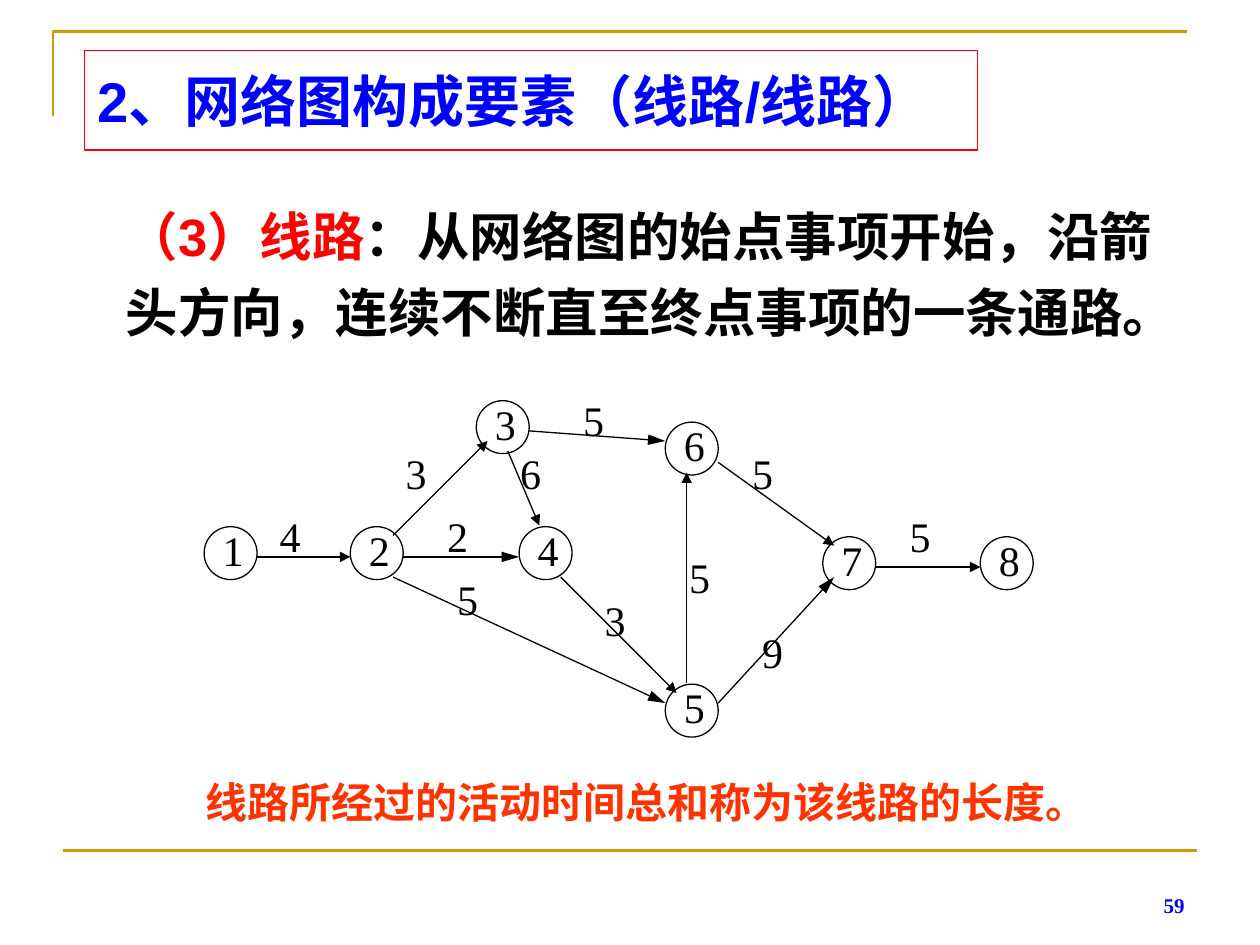
from lxml import etree
from pptx import Presentation
from pptx.dml.color import RGBColor
from pptx.enum.shapes import MSO_CONNECTOR, MSO_SHAPE
from pptx.enum.text import MSO_ANCHOR, MSO_AUTO_SIZE, PP_ALIGN
from pptx.oxml.ns import qn
from pptx.util import Inches, Pt

OVAL = MSO_SHAPE.OVAL
STRAIGHT = MSO_CONNECTOR.STRAIGHT
TOP, MIDDLE, BOTTOM = MSO_ANCHOR.TOP, MSO_ANCHOR.MIDDLE, MSO_ANCHOR.BOTTOM
LEFT, CENTER, RIGHT = PP_ALIGN.LEFT, PP_ALIGN.CENTER, PP_ALIGN.RIGHT
NO_AUTOFIT = MSO_AUTO_SIZE.NONE
SERIF, SANS = "Times New Roman", "Arial"
BLACK, WHITE, GOLD = "000000", "FFFFFF", "CC9900"
RED, BLUE, ORANGE = "FF0000", "0000FF", "FF3300"


def write(shape, runs, size, font, bold=False, align=LEFT, anchor=TOP, wrap=True):
    frame = shape.text_frame
    frame.word_wrap = wrap
    frame.auto_size = NO_AUTOFIT
    frame.vertical_anchor = anchor
    paragraph = frame.paragraphs[0]
    paragraph.alignment = align
    for text, color in runs:
        run = paragraph.add_run()
        run.text = text
        run.font.size = Pt(size)
        run.font.name = font
        run.font.bold = bold
        run.font.color.rgb = RGBColor.from_string(color)
    return paragraph


def draw_line(shapes, start, end, color, width):
    line = shapes.add_connector(STRAIGHT, *[Inches(v) for v in (*start, *end)])
    line.line.color.rgb = RGBColor.from_string(color)
    line.line.width = Pt(width)
    etree.SubElement(line._element.spPr, qn("a:effectLst"))
    return line


prs = Presentation()
prs.slide_width, prs.slide_height = Inches(10), Inches(7.5)
slide = prs.slides.add_slide(prs.slide_layouts[5])
shapes = slide.shapes

corner = shapes.build_freeform(Inches(0.42), Inches(0.92))
corner.add_line_segments(
    [(Inches(0.42), Inches(0.25)), (Inches(9.42), Inches(0.25))], close=False)
bracket = corner.convert_to_shape()
bracket.shadow.inherit = False
bracket.fill.background()
bracket.line.color.rgb = RGBColor.from_string(GOLD)
bracket.line.width = Pt(1.5)
draw_line(shapes, (0.5, 6.75), (9.5, 6.75), GOLD, 1.5)

title = shapes.title
title.left, title.top = Inches(0.67), Inches(0.4)
title.width, title.height = Inches(7.09), Inches(0.79)
title.line.color.rgb = RGBColor.from_string(RED)
title.line.width = Pt(0.75)
title.text_frame.margin_right = Inches(0)
write(title, [("2、网络图构成要素（线路/线路）", BLUE)], 32, SANS,
      bold=True, anchor=MIDDLE, wrap=False)

definition = shapes.add_textbox(Inches(0.9), Inches(1.47), Inches(8.74), Inches(1.3))
definition_text = write(
    definition,
    [("（3）线路", RED),
     ("：从网络图的始点事项开始，沿箭头方向，连续不断直至终点事项的一条通路。", BLACK)],
    30, SANS, bold=True)
definition_text.line_spacing = 1.2

network = shapes.add_group_shape().shapes

nodes = [
    ("1", 1.62, 4.18), ("2", 2.78, 4.18), ("3", 3.78, 3.18), ("4", 4.12, 4.18),
    ("5", 5.28, 5.43), ("6", 5.28, 3.35), ("7", 6.53, 4.26), ("8", 7.78, 4.26),
]
for number, x, y in nodes:
    circle = network.add_shape(OVAL, Inches(x), Inches(y), Inches(0.42), Inches(0.42))
    circle.shadow.inherit = False
    circle.fill.solid()
    circle.fill.fore_color.rgb = RGBColor.from_string(WHITE)
    circle.line.color.rgb = RGBColor.from_string(BLACK)
    circle.line.width = Pt(0.75)
    node_label = network.add_textbox(
        Inches(x - 0.08), Inches(y - 0.1), Inches(0.58), Inches(0.53))
    node_label.text_frame.margin_left = Inches(0.14)
    node_label.text_frame.margin_top = Inches(0.08)
    write(node_label, [(number, BLACK)], 24, SERIF, align=CENTER, anchor=MIDDLE)

activities = [
    ((2.03, 4.42), (2.78, 4.42), "med", "4", (2.12, 4)),
    ((3.12, 4.25), (3.87, 3.5), "med", "3", (3.12, 3.5)),
    ((3.2, 4.42), (4.12, 4.42), "lg", "2", (3.45, 4)),
    ((3.12, 4.58), (5.28, 5.58), "lg", "5", (3.53, 4.5)),
    ((4.03, 3.58), (4.28, 4.17), "med", "6", (4.03, 3.5)),
    ((4.2, 3.42), (5.28, 3.5), "lg", "5", (4.53, 3.08)),
    ((4.45, 4.58), (5.37, 5.5), "med", "3", (4.7, 4.67)),
    ((5.45, 5.42), (5.45, 3.75), "med", "5", (5.37, 4.33)),
    ((5.7, 5.58), (6.62, 4.58), "lg", "9", (5.95, 4.92)),
    ((5.7, 3.67), (6.62, 4.33), "med", "5", (5.87, 3.5)),
    ((6.95, 4.5), (7.78, 4.5), "med", "5", (7.12, 4)),
]
for start, end, head_length, duration, (x, y) in activities:
    arrow = draw_line(network, start, end, BLACK, 0.75)
    etree.SubElement(arrow.get_or_add_ln(), qn("a:tailEnd"),
                     type="triangle", w="med", len=head_length)
    duration_label = network.add_textbox(Inches(x), Inches(y), Inches(0.42), Inches(0.5))
    write(duration_label, [(duration, BLACK)], 24, SERIF)

conclusion = shapes.add_textbox(Inches(1.53), Inches(6.11), Inches(7.64), Inches(0.5))
write(conclusion, [("线路所经过的活动时间总和称为该线路的长度。", ORANGE)], 24, SERIF, bold=True)

page_number = shapes.add_textbox(Inches(7.17), Inches(6.83), Inches(2.33), Inches(0.5))
write(page_number, [("59", BLUE)], 12, SERIF, bold=True, align=RIGHT, anchor=BOTTOM)

prs.save("out.pptx")
